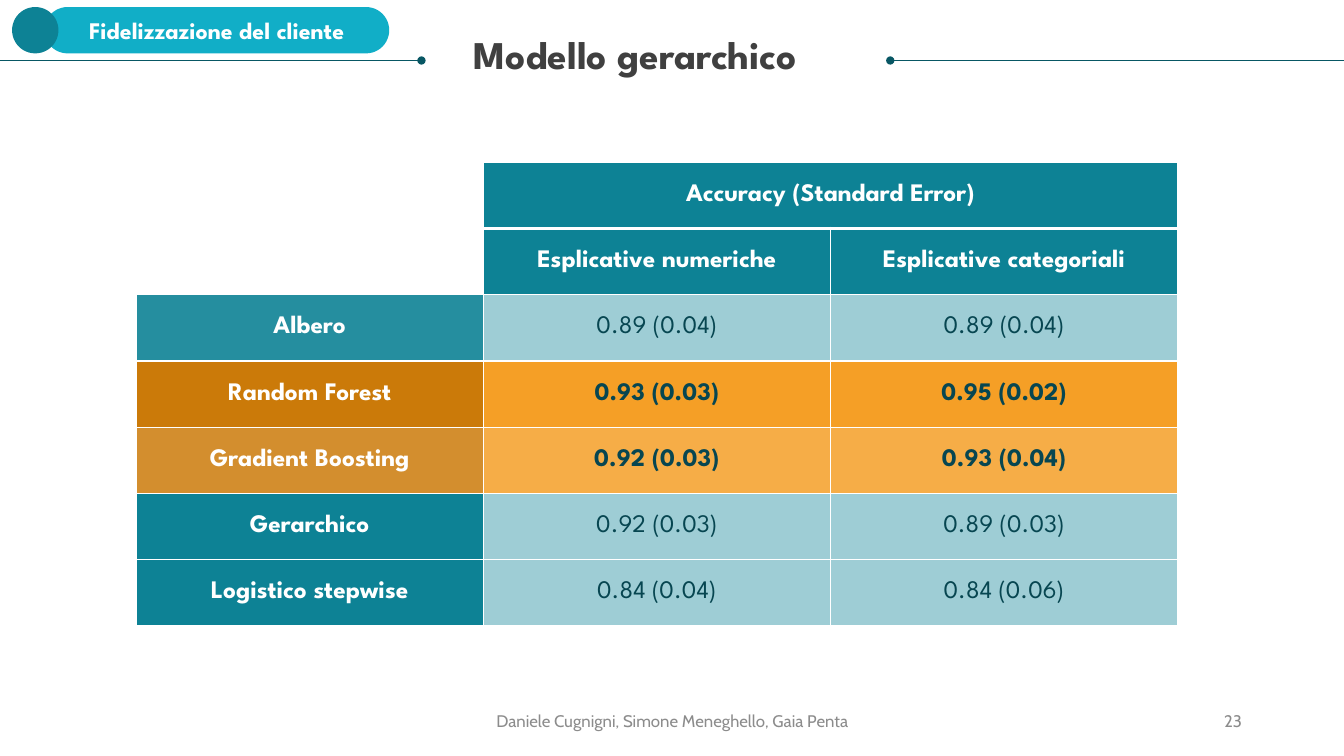
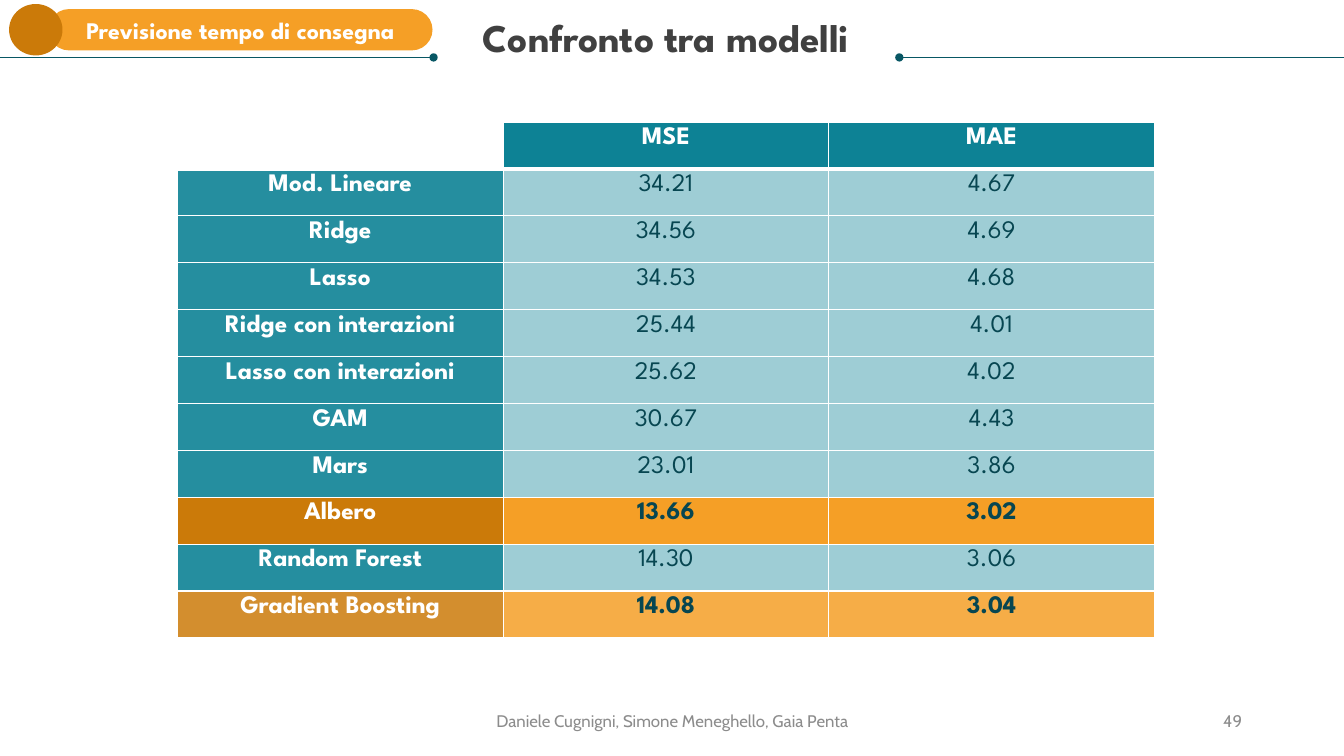
"""Build two slides that compare the accuracy and error of models."""
from lxml.etree import SubElement
from pptx import Presentation
from pptx.dml.color import RGBColor
from pptx.enum.shapes import MSO_CONNECTOR, MSO_SHAPE
from pptx.enum.text import MSO_ANCHOR, PP_ALIGN
from pptx.oxml.ns import qn
from pptx.util import Inches, Pt

WHITE = RGBColor(0xFF, 0xFF, 0xFF)
TEAL = RGBColor(0x0D, 0x82, 0x95)
SOFT = RGBColor(0x25, 0x8E, 0x9F)
PALE = RGBColor(0x9E, 0xCD, 0xD5)
CYAN = RGBColor(0x11, 0xAE, 0xC7)
DEEP = RGBColor(0x08, 0x57, 0x64)
INK = RGBColor(0x07, 0x46, 0x51)
RUST = RGBColor(0xCB, 0x7A, 0x09)
TAN = RGBColor(0xD3, 0x8E, 0x2E)
GOLD = RGBColor(0xF5, 0x9F, 0x26)
SAND = RGBColor(0xF6, 0xAD, 0x47)
DARK = RGBColor(0x40, 0x40, 0x40)
GREY = RGBColor(0x8C, 0x8C, 0x8C)

HEAD = "League Spartan"
FOOT = "Cabin"
WIDE = 13.33

PLAIN = (TEAL, PALE, False)
LIGHT = (SOFT, PALE, False)
BEST = (RUST, GOLD, True)
NEXT = (TAN, SAND, True)

SCORES = [
    (LIGHT, "Albero", "0.89 (0.04)", "0.89 (0.04)"),
    (BEST, "Random Forest", "0.93 (0.03)", "0.95 (0.02)"),
    (NEXT, "Gradient Boosting", "0.92 (0.03)", "0.93 (0.04)"),
    (PLAIN, "Gerarchico", "0.92 (0.03)", "0.89 (0.03)"),
    (PLAIN, "Logistico stepwise", "0.84 (0.04)", "0.84 (0.06)"),
]
ERRORS = [
    (LIGHT, "Mod. Lineare", "34.21", "4.67"),
    (LIGHT, "Ridge", "34.56", "4.69"),
    (LIGHT, "Lasso", "34.53", "4.68"),
    (LIGHT, "Ridge con interazioni", "25.44", "4.01"),
    (LIGHT, "Lasso con interazioni", "25.62", "4.02"),
    (LIGHT, "GAM", "30.67", "4.43"),
    (LIGHT, "Mars", "23.01", "3.86"),
    (BEST, "Albero", "13.66", "3.02"),
    (LIGHT, "Random Forest", "14.30", "3.06"),
    (NEXT, "Gradient Boosting", "14.08", "3.04"),
]


def write(frame, text, size, color, bold=True, font=HEAD, align=PP_ALIGN.CENTER):
    """Add one styled run to the first paragraph and return the paragraph."""
    para = frame.paragraphs[0]
    para.alignment = align
    run = para.add_run()
    run.text = text
    run.font.size = Pt(size)
    run.font.name = font
    run.font.bold = bold
    run.font.color.rgb = color
    return para


def label(slide, box, text, size, color, **style):
    """Add a text box without insets and return its frame and paragraph."""
    frame = slide.shapes.add_textbox(*map(Inches, box)).text_frame
    frame.word_wrap = True
    frame.margin_left = frame.margin_right = 0
    frame.margin_top = frame.margin_bottom = 0
    return frame, write(frame, text, size, color, **style)


def title(slide, text, box, align, pitch):
    """Add the slide title."""
    para = label(slide, box, text, 28, DARK, align=align)[1]
    para.line_spacing = pitch


def footer(slide, page):
    """Add the authors and the page number."""
    names = "Daniele Cugnigni, Simone Meneghello, Gaia Penta"
    for text, left, width, align in (
        (names, 4.42, 4.5, PP_ALIGN.CENTER),
        (page, 9.42, 2.9, PP_ALIGN.RIGHT),
    ):
        frame, _ = label(slide, (left, 6.95, width, 0.4), text, 12, GREY,
                         bold=False, font=FOOT, align=align)
        frame.vertical_anchor = MSO_ANCHOR.MIDDLE


def rule(slide, edge, dot, top):
    """Draw a line from the slide edge to a round dot."""
    line = slide.shapes.add_connector(
        MSO_CONNECTOR.STRAIGHT, *map(Inches, (edge, top, dot, top)))
    line.line.color.rgb = DEEP
    line.line.width = Pt(0.5)
    props = line._element.spPr
    SubElement(props.find(qn("a:ln")), qn("a:tailEnd"), type="oval")
    SubElement(props, qn("a:effectLst"))


def solid(slide, kind, box, color):
    """Add a filled shape without outline or shadow."""
    shape = slide.shapes.add_shape(kind, *map(Inches, box))
    shape.shadow.inherit = False
    shape.fill.solid()
    shape.fill.fore_color.rgb = color
    shape.line.fill.background()
    return shape


def badge(slide, text, pill, disc, fill, accent):
    """Add the section pill with its disc."""
    shape = solid(slide, MSO_SHAPE.ROUNDED_RECTANGLE, pill, fill)
    shape.adjustments[0] = 0.5
    shape.text_frame.vertical_anchor = MSO_ANCHOR.MIDDLE
    write(shape.text_frame, text, 17, WHITE)
    solid(slide, MSO_SHAPE.OVAL, disc, accent)


def border(cell, top, bottom):
    """Draw white borders around a cell."""
    props = cell._tc.get_or_add_tcPr()
    for side, width in zip("LRTB", (1, 1, top, bottom)):
        line = SubElement(props, qn("a:ln" + side), w=str(Pt(width)))
        paint = SubElement(line, qn("a:solidFill"))
        SubElement(paint, qn("a:srgbClr"), val=str(WHITE))


def grid(slide, box, heads, rows, anchor):
    """Add a table with header rows and toned body rows."""
    lines = [[("", WHITE, WHITE, True)]
             + [(text, TEAL, WHITE, True) for text in head] for head in heads]
    for (side, body, bold), name, *values in rows:
        lines.append([(name, side, WHITE, True)]
                     + [(text, body, INK, bold) for text in values])
    table = slide.shapes.add_table(
        len(lines), len(lines[0]), *map(Inches, box)).table
    for r, line in enumerate(lines):
        for c, (text, fill, color, bold) in enumerate(line):
            cell = table.cell(r, c)
            border(cell, 3 if r == 1 else 1, 3 if r == 0 else 1)
            cell.fill.solid()
            cell.fill.fore_color.rgb = fill
            cell.vertical_anchor = anchor
            if text:
                write(cell.text_frame, text, 18, color, bold)
    return table


def frame(deck, page, left, right, top):
    """Add a blank slide with the footer and both title lines."""
    slide = deck.slides.add_slide(deck.slide_layouts[6])
    footer(slide, page)
    rule(slide, 0, left, top)
    rule(slide, WIDE, right, top)
    return slide


def scores(deck):
    """Build the accuracy slide."""
    slide = frame(deck, "23", 4.18, 8.83, 0.6)
    heads = [("Accuracy (Standard Error)", ""),
             ("Esplicative numeriche", "Esplicative categoriali")]
    table = grid(slide, (1.35, 1.61, 10.33, 4.6), heads, SCORES,
                 MSO_ANCHOR.MIDDLE)
    table.cell(0, 1).merge(table.cell(0, 2))
    badge(slide, "Fidelizzazione del cliente", (0.44, 0.07, 3.42, 0.46),
          (0.12, 0.07, 0.46, 0.46), CYAN, TEAL)
    title(slide, "Modello gerarchico", (4.7, 0.3, 4.56, 0.47),
          PP_ALIGN.LEFT, 1.0)


def errors(deck):
    """Build the error slide."""
    slide = frame(deck, "49", 4.3, 8.92, 0.57)
    title(slide, "Confronto tra modelli", (0.19, 0.18, 12.83, 0.85),
          PP_ALIGN.CENTER, 0.9)
    badge(slide, "Previsione tempo di consegna", (0.48, 0.09, 3.81, 0.41),
          (0.09, 0.04, 0.53, 0.51), GOLD, RUST)
    grid(slide, (1.76, 1.21, 9.69, 5.12), [("MSE", "MAE")], ERRORS,
         MSO_ANCHOR.TOP)


def main():
    """Build and save the deck."""
    deck = Presentation()
    deck.slide_width = Inches(WIDE)
    deck.slide_height = Inches(7.5)
    scores(deck)
    errors(deck)
    deck.save("out.pptx")


if __name__ == "__main__":
    main()
